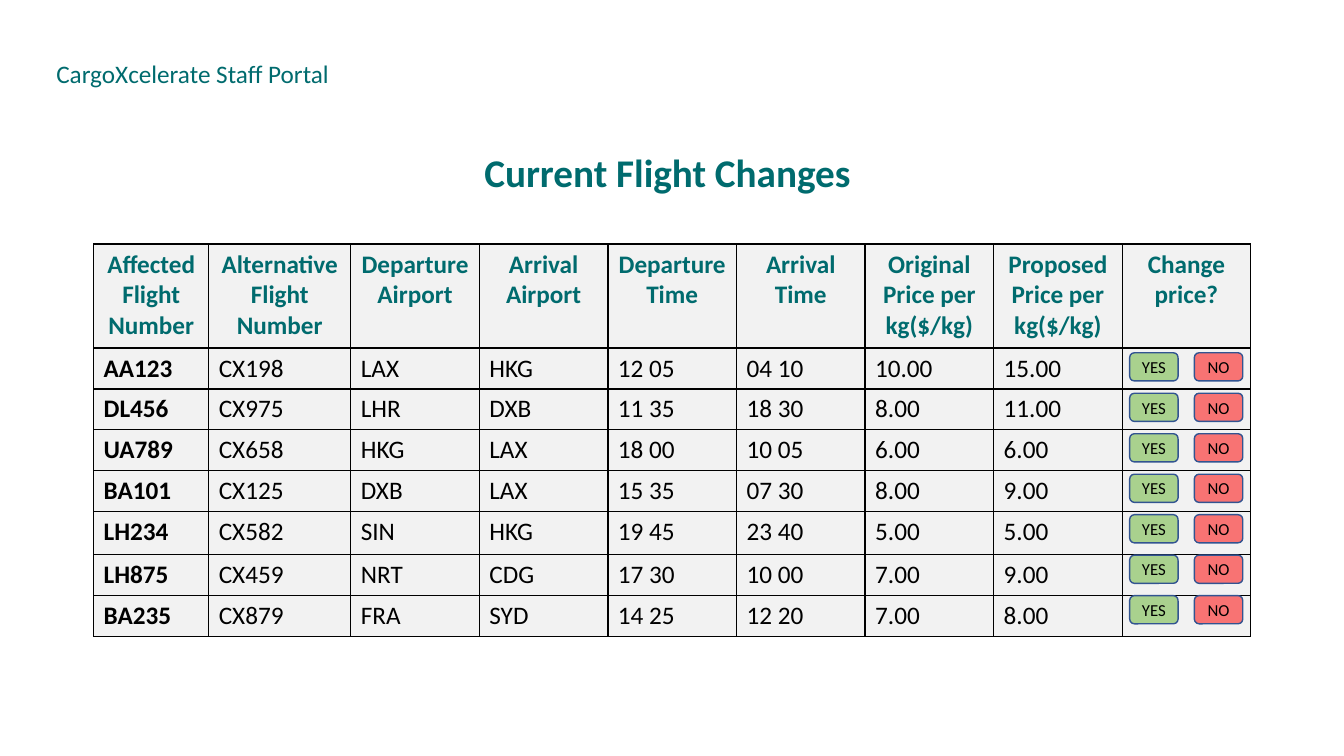
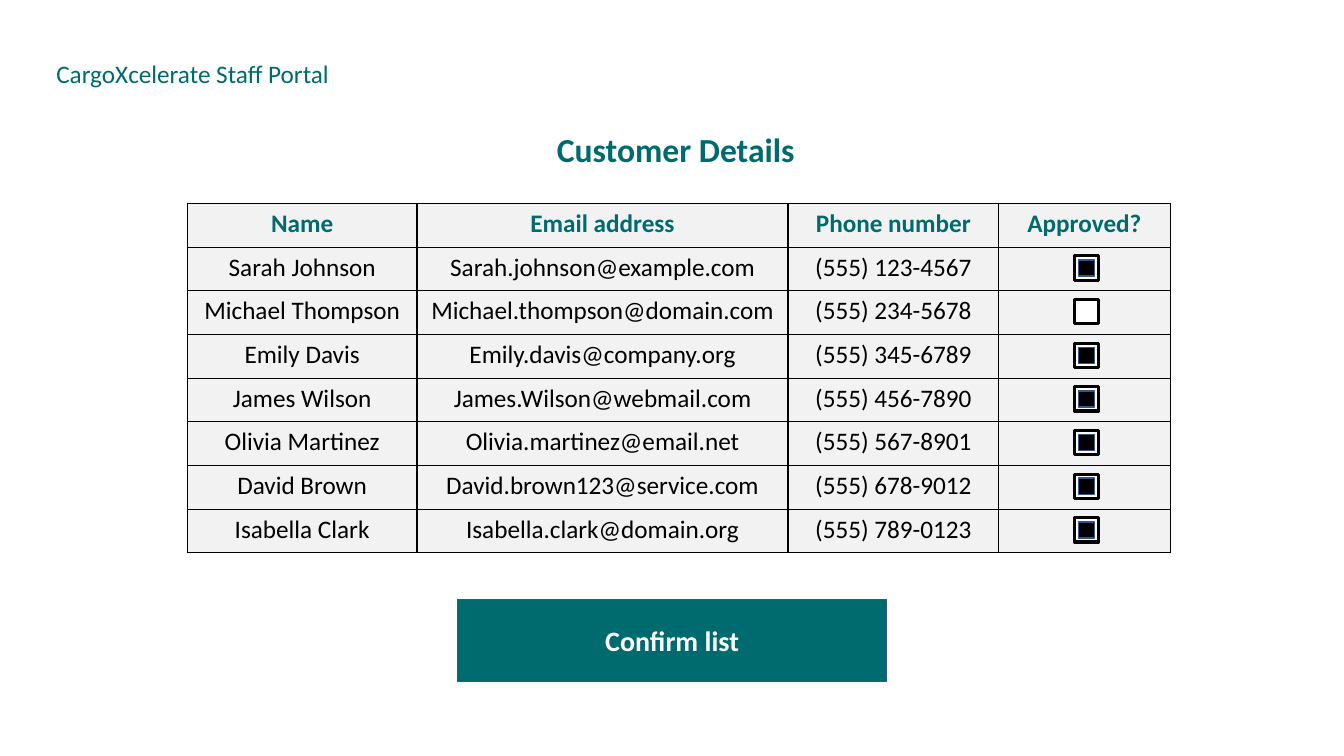
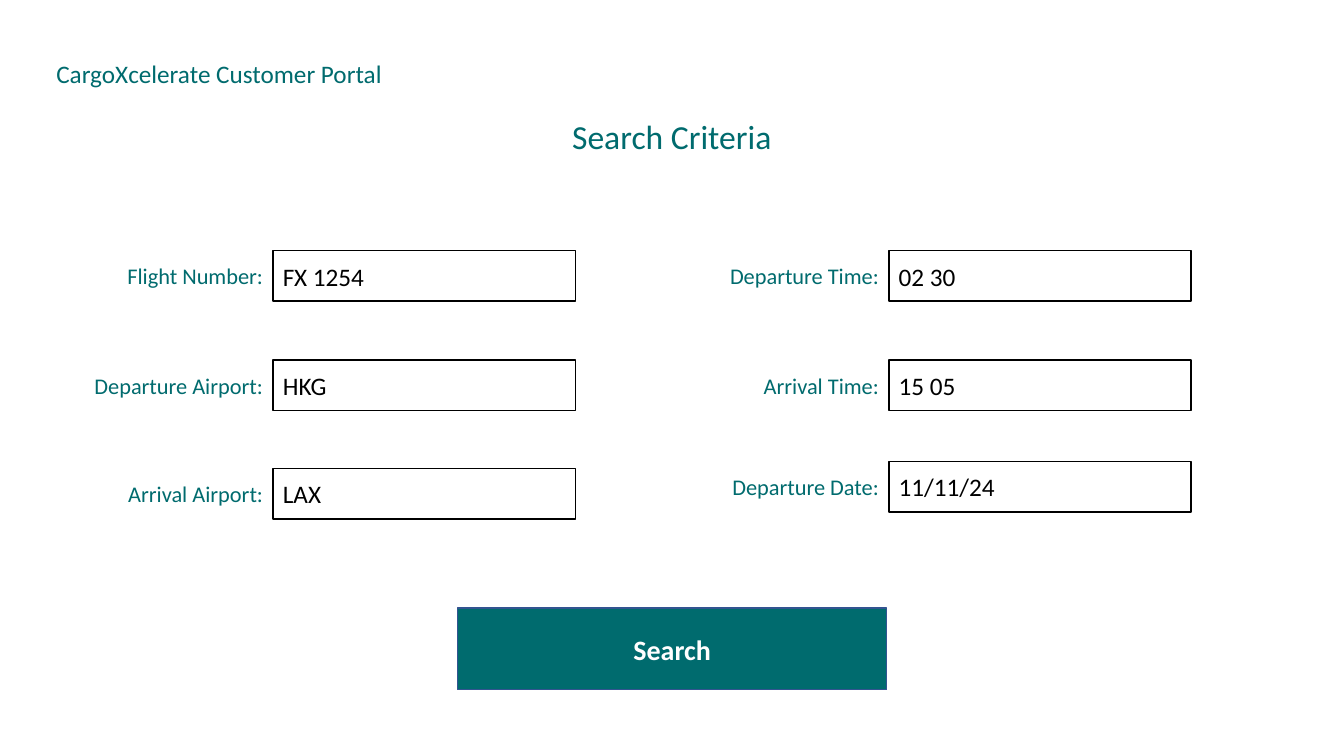
from lxml import etree
from pptx import Presentation
from pptx import util as u
from pptx.dml.color import RGBColor
from pptx.enum import shapes, text
from pptx.oxml.ns import qn

TEAL, BLUE, GREY = "006B6E", "325491", "F2F2F2"
BLACK, WHITE, GREEN, RED = "000000", "FFFFFF", "A9D18E", "FF0000"
LEFT, MID, RIGHT = text.PP_ALIGN.LEFT, text.PP_ALIGN.CENTER, text.PP_ALIGN.RIGHT
TOP, CENTRE = text.MSO_ANCHOR.TOP, text.MSO_ANCHOR.MIDDLE
RECT, ROUND = shapes.MSO_SHAPE.RECTANGLE, shapes.MSO_SHAPE.ROUNDED_RECTANGLE

FLIGHTS = [
    ["Affected Flight Number", "Alternative Flight Number", "Departure Airport", "Arrival Airport",
     "Departure Time", "Arrival Time", "Original Price per kg($/kg)",
     "Proposed Price per kg($/kg)", "Change price?"],
    ["AA123", "CX198", "LAX", "HKG", "12 05", "04 10", "10.00", "15.00", ""],
    ["DL456", "CX975", "LHR", "DXB", "11 35", "18 30", "8.00", "11.00", ""],
    ["UA789", "CX658", "HKG", "LAX", "18 00", "10 05", "6.00", "6.00", ""],
    ["BA101", "CX125", "DXB", "LAX", "15 35", "07 30", "8.00", "9.00", ""],
    ["LH234", "CX582", "SIN", "HKG", "19 45", "23 40", "5.00", "5.00", ""],
    ["LH875", "CX459", "NRT", "CDG", "17 30", "10 00", "7.00", "9.00", ""],
    ["BA235", "CX879", "FRA", "SYD", "14 25", "12 20", "7.00", "8.00", ""],
]
CLIENTS = [
    ["Name", "Email address", "Phone number", "Approved?"],
    ["Sarah Johnson", "Sarah.johnson@example.com", "(555) 123-4567", ""],
    ["Michael Thompson", "Michael.thompson@domain.com", "(555) 234-5678", ""],
    ["Emily Davis", "Emily.davis@company.org", "(555) 345-6789", ""],
    ["James Wilson", "James.Wilson@webmail.com", "(555) 456-7890", ""],
    ["Olivia Martinez", "Olivia.martinez@email.net", "(555) 567-8901", ""],
    ["David Brown", "David.brown123@service.com", "(555) 678-9012", ""],
    ["Isabella Clark", "Isabella.clark@domain.org", "(555) 789-0123", ""],
]
CHECKS = [True, False, True, True, True, True, True]
FIELDS = [
    (6.88, 6.32, "Flight Number:", "FX 1254"),
    (6.88, 9.07, "Departure Airport:", "HKG"),
    (6.88, 11.81, "Arrival Airport:", "LAX"),
    (22.4, 6.32, "Departure Time:", "02 30"),
    (22.4, 9.07, "Arrival Time:", "15 05"),
    (22.4, 11.63, "Departure Date:", "11/11/24"),
]


def paint(form, colour):
    """Give a fill or a font one solid colour."""
    if hasattr(form, "solid"):
        form.solid()
        form.fore_color.rgb = RGBColor.from_string(colour)
    else:
        form.color.rgb = RGBColor.from_string(colour)


def write(frame, words, size=18, colour=BLACK, bold=False, align=LEFT, anchor=None):
    """Put formatted text in a text frame."""
    frame.word_wrap = True
    if anchor is not None:
        frame.vertical_anchor = anchor
    para = frame.paragraphs[0]
    para.alignment = align
    run = para.add_run()
    run.text = words
    run.font.name, run.font.size, run.font.bold = "Calibri", u.Pt(size), bold
    paint(run.font, colour)


def edge(cell, colour=BLACK, width=1):
    """Draw the four borders of a table cell."""
    props = cell._tc.get_or_add_tcPr()
    for side in ("a:lnL", "a:lnR", "a:lnT", "a:lnB"):
        line = etree.SubElement(props, qn(side), w=str(u.Pt(width)))
        fill = etree.SubElement(line, qn("a:solidFill"))
        etree.SubElement(fill, qn("a:srgbClr"), val=colour)


class Deck:
    """Hold the portal style and the current slide."""

    def __init__(self):
        """Start an empty wide deck."""
        self.show = Presentation()
        self.show.slide_width, self.show.slide_height = u.Cm(33.87), u.Cm(19.05)

    def page(self, portal, title, mid, top, size=24, bold=True):
        """Add a slide with its portal name and a title centred on mid."""
        self.slide = self.show.slides.add_slide(self.show.slide_layouts[5])
        head, wide = self.slide.shapes.title, 12
        head.left, head.top = u.Cm(mid - wide / 2), u.Cm(top)
        head.width, head.height = u.Cm(wide), u.Cm(1.4)
        head.text_frame.auto_size = text.MSO_AUTO_SIZE.NONE
        write(head.text_frame, title, size, TEAL, bold, MID, TOP)
        self.label(portal, 1.17, 1.35, 10, 1.02)

    def label(self, words, left, top, width, height, **style):
        """Add a teal text box."""
        box = self.slide.shapes.add_textbox(*map(u.Cm, (left, top, width, height)))
        write(box.text_frame, words, colour=TEAL, **style)

    def box(self, left, top, width, height, fill, line=BLUE, weight=1,
            kind=RECT, alpha=None, words="", **style):
        """Add a filled and outlined shape, with text if any."""
        shape = self.slide.shapes.add_shape(kind, *map(u.Cm, (left, top, width, height)))
        shape.shadow.inherit = False
        paint(shape.fill, fill)
        paint(shape.line.fill, line)
        shape.line.width = u.Pt(weight)
        if alpha:
            tone = shape.element.spPr.find(qn("a:solidFill"))[0]
            etree.SubElement(tone, qn("a:alpha"), val=str(alpha * 1000))
        if words:
            write(shape.text_frame, words, anchor=CENTRE, **style)

    def grid(self, rows, left, top, widths, heights, align=LEFT, lead=False):
        """Add a bordered table, with a bold first column if lead is set."""
        size = map(u.Cm, (left, top, sum(widths), sum(heights)))
        table = self.slide.shapes.add_table(len(rows), len(widths), *size).table
        table.horz_banding = False
        for col, width in zip(table.columns, widths):
            col.width = u.Cm(width)
        for r, (row, height) in enumerate(zip(rows, heights)):
            table.rows[r].height = u.Cm(height)
            for c, words in enumerate(row):
                cell = table.cell(r, c)
                edge(cell)
                paint(cell.fill, GREY)
                if r == 0:
                    write(cell.text_frame, words, colour=TEAL, bold=True, align=MID)
                elif words:
                    write(cell.text_frame, words, bold=lead and c == 0, align=align)

    def action(self, words, top):
        """Add the wide button at the foot."""
        self.box(11.53, top, 10.82, 2.06, TEAL, words=words,
                 size=20, colour=WHITE, bold=True, align=MID)

    def choice(self, top):
        """Add a pair of YES and NO buttons."""
        for left, words, fill, alpha in ((28.47, "YES", GREEN, None), (30.1, "NO", RED, 52)):
            self.box(left, top, 1.22, 0.71, fill, kind=ROUND, alpha=alpha,
                     words=words, size=12, align=MID)

    def check(self, left, top, ticked):
        """Add a check box."""
        self.box(left, top, 0.61, 0.61, WHITE, BLACK, 2.25)
        if ticked:
            self.box(left + 0.1, top + 0.1, 0.41, 0.41, BLACK)

    def field(self, left, top, name, value):
        """Add an input field with its name on the left."""
        wide, high = 5.4, 1.27
        self.label(name, left - wide, top, wide, high, size=16, align=RIGHT, anchor=CENTRE)
        self.box(left, top, 7.62, high, WHITE, BLACK, words=value)


def main():
    """Build the three portal slides."""
    deck = Deck()
    staff = "CargoXcelerate Staff Portal"

    deck.page(staff, "Current Flight Changes", 16.82, 3.61, size=28)
    deck.grid(FLIGHTS, 2.36, 6.15, [2.9, 3.58] + [3.24] * 7,
              [2.62] + [1.03] * 4 + [1.09] + [1.03] * 2, lead=True)
    for i in range(len(FLIGHTS) - 1):
        deck.choice(8.89 + 1.02 * i)

    deck.page(staff, "Customer Details", 17.03, 3.12)
    deck.grid(CLIENTS, 4.72, 5.13, [5.79, 9.35, 5.31, 4.32], [1.1] * len(CLIENTS), align=MID)
    for i, ticked in enumerate(CHECKS):
        deck.check(27.08, 6.45 + 1.1 * i, ticked)
    deck.action("Confirm list", 15.11)

    deck.page("CargoXcelerate Customer Portal", "Search Criteria", 16.93, 2.79, bold=False)
    for item in FIELDS:
        deck.field(*item)
    deck.action("Search", 15.32)

    deck.show.save("out.pptx")


if __name__ == "__main__":
    main()
